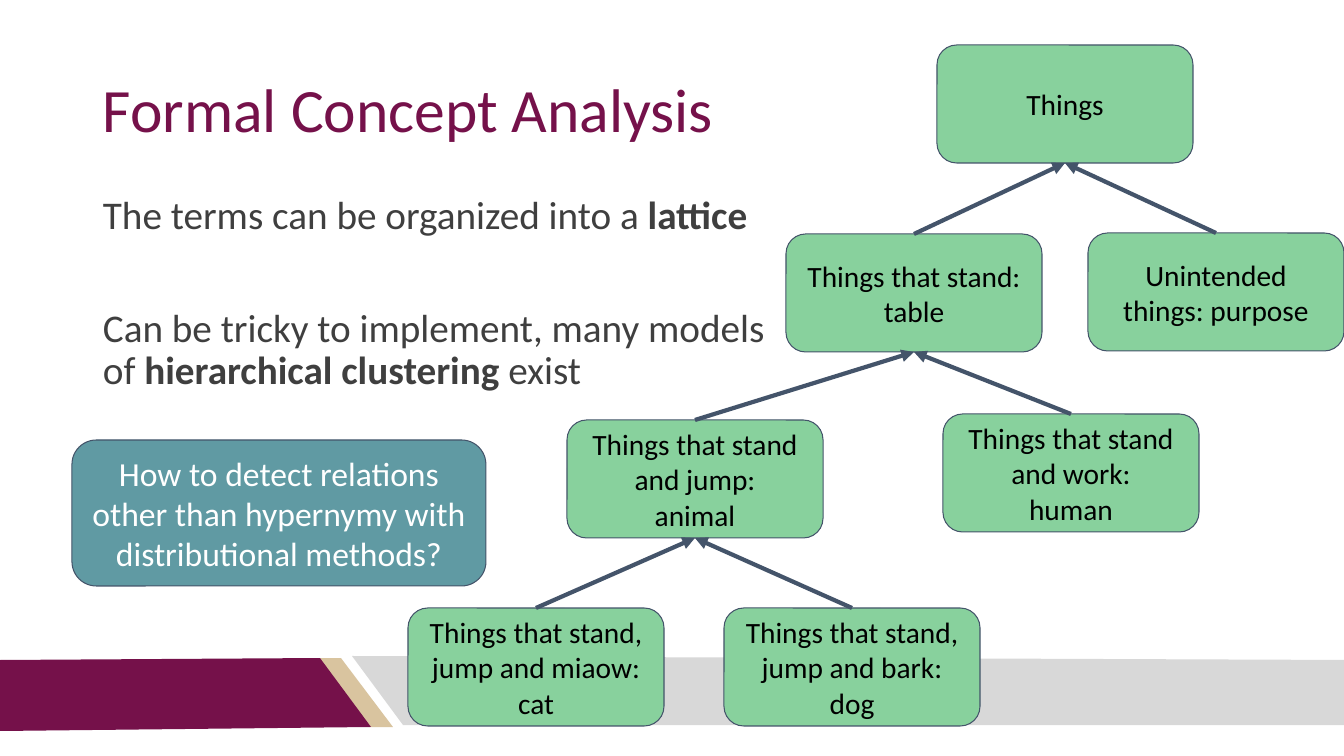
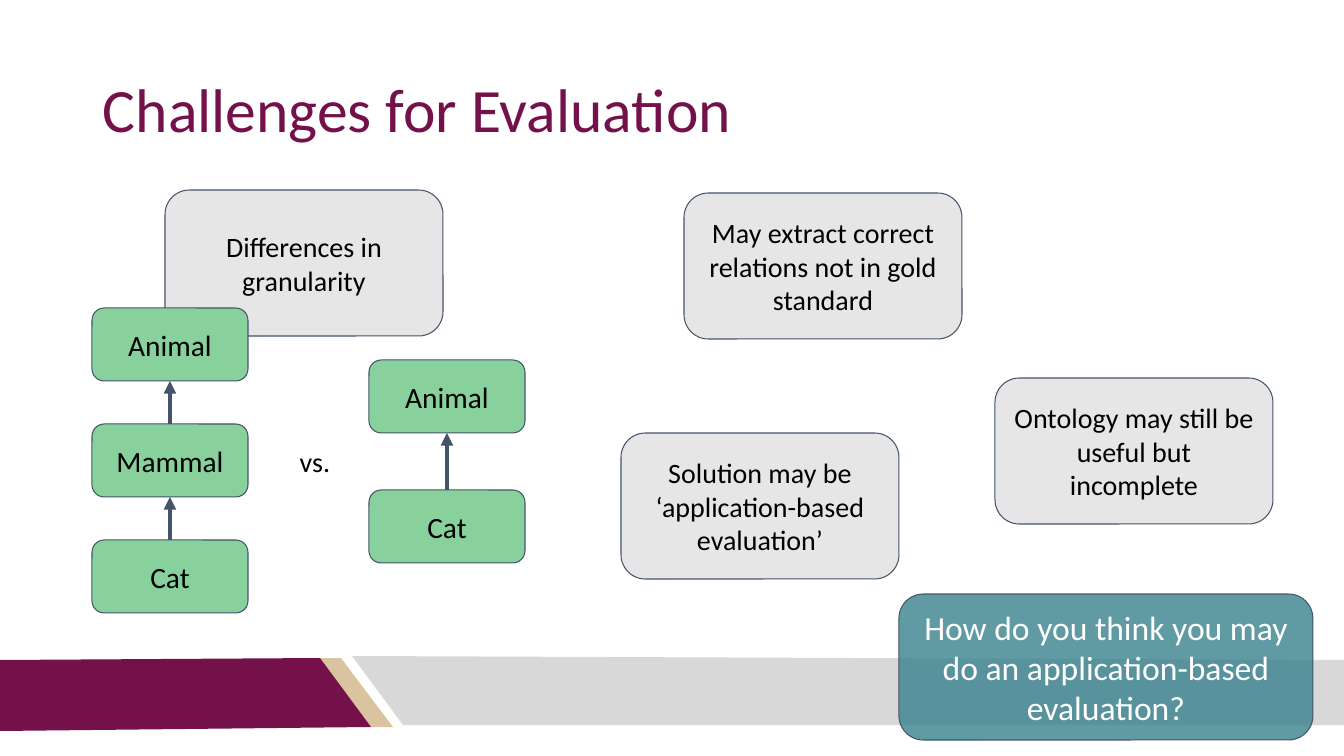
import lxml.etree
import pptx
import pptx.dml.color
import pptx.enum.shapes
import pptx.enum.text
import pptx.oxml.ns
import pptx.util

PX = 914400 / 100.8  # EMU per px
FONT = "Calibri"
COLORS = {
    "plum": "75114A", "sand": "D9C49F", "band": "D8D8D8", "body": "3F3F3F",
    "green": "88D19D", "grey": "E7E6E6", "teal": "39818D", "slate": "44546A",
    "black": "000000", "white": "FFFFFF",
}
ALIGN = pptx.enum.text.PP_ALIGN
ANCHOR = pptx.enum.text.MSO_ANCHOR
RGB = {name: pptx.dml.color.RGBColor.from_string(value) for name, value in COLORS.items()}
qn = pptx.oxml.ns.qn


def write(shape, text, size=21, color="black", align=ALIGN.CENTER,
          anchor=ANCHOR.MIDDLE, line_spacing=1.0, gap=0):
    """Fill a shape with text: one paragraph a line, *bold* between stars."""
    frame = shape.text_frame
    frame.word_wrap = True
    frame.auto_size = pptx.enum.text.MSO_AUTO_SIZE.NONE
    frame.vertical_anchor = anchor
    frame.margin_left = frame.margin_right = round(10 * PX)
    frame.margin_top = frame.margin_bottom = round(10 * PX)
    for i, line in enumerate(text.split("\n")):
        paragraph = frame.add_paragraph() if i else frame.paragraphs[0]
        paragraph.alignment = align
        paragraph.line_spacing = line_spacing
        paragraph.space_before = pptx.util.Pt(gap if i else 0)
        for j, part in enumerate(line.split("*")):
            if part:
                run = paragraph.add_run()
                run.text = part
                run.font.name = FONT
                run.font.size = pptx.util.Pt(size)
                run.font.bold = j % 2 == 1
                run.font.color.rgb = RGB[color]


def add_box(slide, text, left, top, width, height, fill="green", opacity=100, **text_format):
    """Add an outlined rounded box with centred text."""
    box = slide.shapes.add_shape(
        pptx.enum.shapes.MSO_SHAPE.ROUNDED_RECTANGLE,
        *(round(v * PX) for v in (left, top, width, height)))
    box.shadow.inherit = False
    box.fill.solid()
    box.fill.fore_color.rgb = RGB[fill]
    if opacity < 100:
        tint = box.element.spPr.find(qn("a:solidFill"))[0]
        lxml.etree.SubElement(tint, qn("a:alpha"), val=str(opacity * 1000))
    box.line.color.rgb = RGB["slate"]
    box.line.width = pptx.util.Pt(0.75)
    write(box, text, **text_format)
    return box


deck = pptx.Presentation()
deck.slide_width, deck.slide_height = round(1344 * PX), round(756 * PX)

# Shared parts: footer bands, title and question box
BANDS = [
    ("sand", [(319, 658), (341, 658), (393, 727), (370, 727)]),
    ("plum", [(0, 660), (320, 658), (371, 727), (0, 731)]),
    ("band", [(352, 656), (1344, 660), (1344, 725), (403, 725)]),
]
slides = []
for title in ("Formal Concept Analysis", "Challenges for Evaluation"):
    slide = deck.slides.add_slide(deck.slide_layouts[5])
    slides.append(slide)
    for color, corners in BANDS:
        outline = slide.shapes.build_freeform(*corners[0], scale=PX)
        outline.add_line_segments(corners[1:], close=True)
        band = outline.convert_to_shape()
        band.shadow.inherit = False
        band.fill.solid()
        band.fill.fore_color.rgb = RGB[color]
        band.line.fill.background()
    heading = slide.shapes.title
    heading.left, heading.top, heading.width, heading.height = (
        round(v * PX) for v in (93, 40, 1159, 146))
    write(heading, title, size=44, color="plum", align=ALIGN.LEFT, line_spacing=0.9)
concept_slide, challenge_slide = slides
QUESTION = dict(width=414, height=146, fill="teal", opacity=80, size=24, color="white")

# Slide 1: statements
statements = concept_slide.shapes.add_textbox(
    *(round(v * PX) for v in (93, 186, 684, 237)))
write(statements,
      "The terms can be organized into a *lattice*\n"
      "Can be tricky to implement, many models of *hierarchical clustering *exist",
      size=28, color="body", align=ALIGN.LEFT, anchor=ANCHOR.TOP,
      line_spacing=0.9, gap=50)

# Slide 1: lattice, each concept with its parent
LATTICE = [
    ("things", None, "Things", 937, 45),
    ("stand", "things", "Things that stand:\ntable", 786, 234),
    ("unintended", "things", "Unintended things: purpose", 1088, 233),
    ("jump", "stand", "Things that stand and jump:\nanimal", 567, 420),
    ("work", "stand", "Things that stand and work:\nhuman", 943, 414),
    ("miaow", "jump", "Things that stand, jump and miaow:\ncat", 408, 608),
    ("bark", "jump", "Things that stand, jump and bark:\ndog", 724, 608),
]
concepts = {}
links = []  # slide, child, parent
for name, parent, text, left, top in LATTICE:
    concepts[name] = add_box(concept_slide, text, left, top, 256, 118)
    if parent:
        links.append((concept_slide, concepts[name], concepts[parent]))
add_box(concept_slide,
        "How to detect relations other than hypernymy with distributional methods?",
        72, 440, **QUESTION)

# Slide 2: challenges
CHALLENGES = [
    ("Differences in granularity", 165, 190),
    ("May extract correct relations not in gold standard", 684, 193),
    ("Ontology may still be useful but incomplete", 995, 378),
    ("Solution may be ‘application-based evaluation’", 621, 433),
]
for text, left, top in CHALLENGES:
    add_box(challenge_slide, text, left, top, 278, 146, fill="grey", size=20)

# Slide 2: fine and coarse hierarchies, top level first
HIERARCHIES = [
    (92, 308, 116, ["Animal", "Mammal", "Cat"]),
    (369, 360, 130, ["Animal", "Cat"]),
]
for left, top, pitch, levels in HIERARCHIES:
    chain = [add_box(challenge_slide, level, left, top + i * pitch, 156, 73)
             for i, level in enumerate(levels)]
    links += [(challenge_slide, child, parent) for parent, child in zip(chain, chain[1:])]
versus = challenge_slide.shapes.add_textbox(*(round(v * PX) for v in (281, 434, 68, 54)))
write(versus, "vs.", size=20, anchor=ANCHOR.TOP)
add_box(challenge_slide, "How do you think you may do an application-based evaluation?",
        899, 594, **QUESTION)

# Arrows from each child up to its parent
for slide, child, parent in links:
    arrow = slide.shapes.add_connector(pptx.enum.shapes.MSO_CONNECTOR.STRAIGHT, 0, 0, 0, 0)
    arrow.begin_connect(child, 0)
    arrow.end_connect(parent, 2)
    arrow.line.color.rgb = RGB["slate"]
    arrow.line.width = pptx.util.Pt(3)
    lxml.etree.SubElement(arrow.line._get_or_add_ln(), qn("a:tailEnd"), type="triangle")
    lxml.etree.SubElement(arrow.element.spPr, qn("a:effectLst"))

deck.save("out.pptx")
